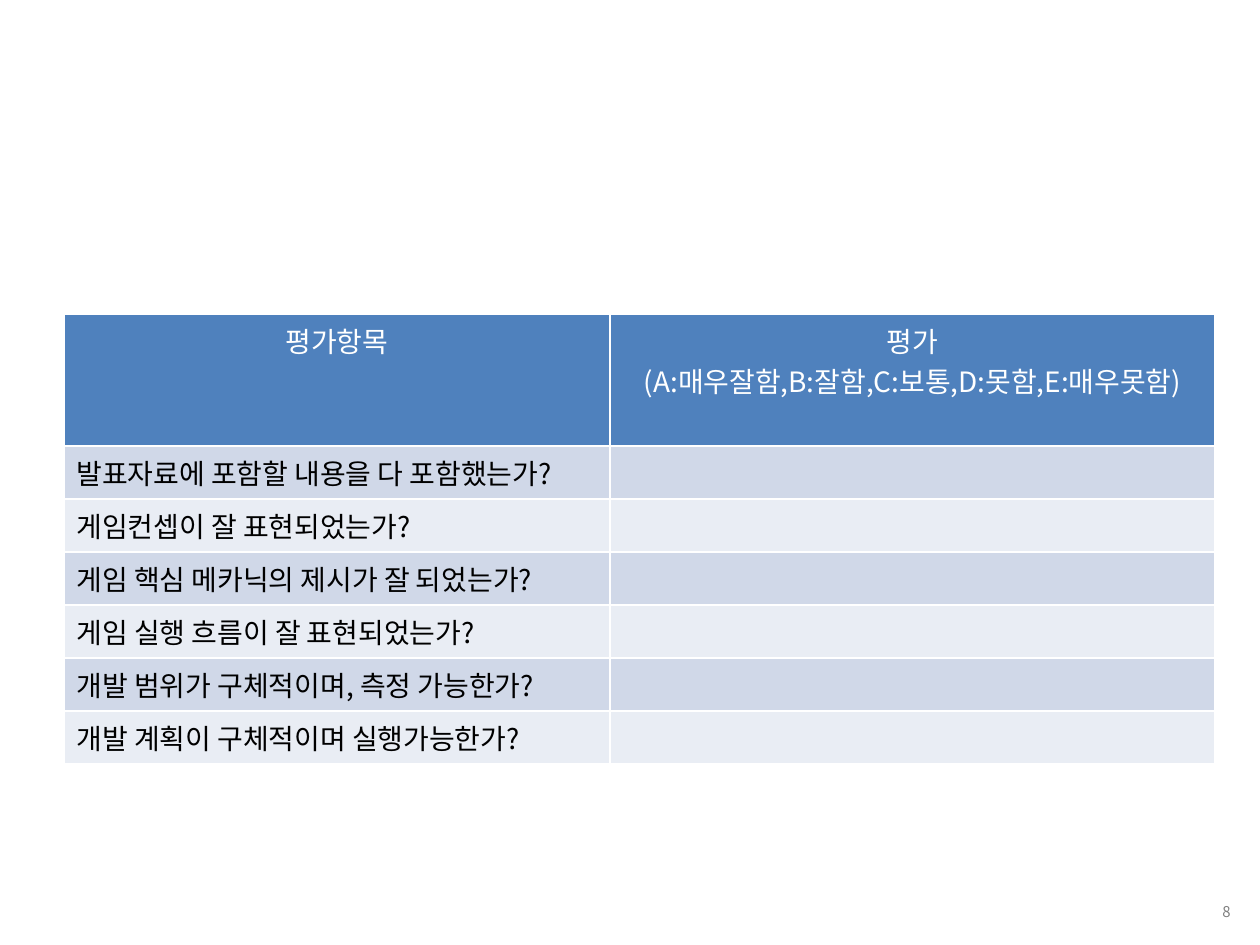
from dataclasses import dataclass

from pptx import Presentation
from pptx.dml.color import RGBColor
from pptx.enum.text import MSO_ANCHOR as Anchor, PP_ALIGN as Align
from pptx.oxml.xmlchemy import OxmlElement
from pptx.util import Pt

EMU_PER_PX = 914400 / 126


def px(length):
    return round(length * EMU_PER_PX)


@dataclass(frozen=True)
class Theme:
    font: str = "Noto Sans CJK KR"
    table_size: float = 16
    number_size: float = 8.5
    border_width: float = 1
    white: str = "FFFFFF"
    black: str = "000000"
    gray: str = "808080"
    header: str = "4F81BD"
    bands: tuple = ("D0D8E8", "E9EDF4")


def write_text(frame, text, *, font, size, color, align=Align.LEFT):
    for index, line in enumerate(text.split("\n")):
        paragraph = frame.paragraphs[0] if index == 0 else frame.add_paragraph()
        paragraph.alignment = align
        run = paragraph.add_run()
        run.text = line
        run.font.name = font
        run.font.size = Pt(size)
        run.font.color.rgb = RGBColor.from_string(color)
        east_asian = OxmlElement("a:ea")
        east_asian.set("typeface", font)
        run.font._element.append(east_asian)


def set_borders(cell, color, width):
    properties = cell._tc.get_or_add_tcPr()
    for index, side in enumerate("LRTB"):
        line = OxmlElement(f"a:ln{side}")
        line.set("w", str(Pt(width)))
        fill = OxmlElement("a:solidFill")
        value = OxmlElement("a:srgbClr")
        value.set("val", color)
        fill.append(value)
        line.append(fill)
        properties.insert(index, line)


class SlideBuilder:
    def __init__(self, slide, theme):
        self.slide = slide
        self.theme = theme

    def add_page_number(self, number, left, top, width, height):
        shape = self.slide.shapes.add_textbox(*map(px, (left, top, width, height)))
        frame = shape.text_frame
        frame.word_wrap = True
        frame.vertical_anchor = Anchor.MIDDLE
        write_text(frame, number, font=self.theme.font, size=self.theme.number_size,
                   color=self.theme.gray, align=Align.RIGHT)

    def add_evaluation_table(self, rows, left, top, column_widths, header_height, row_height):
        theme = self.theme
        table = self.slide.shapes.add_table(
            len(rows), len(column_widths), px(left), px(top), px(sum(column_widths)),
            px(header_height + row_height * (len(rows) - 1))).table
        for column, width in zip(table.columns, column_widths):
            column.width = px(width)
        for row_index, values in enumerate(rows):
            is_header = row_index == 0
            table.rows[row_index].height = px(header_height if is_header else row_height)
            fill = theme.header if is_header else theme.bands[(row_index - 1) % 2]
            for column_index, value in enumerate(values):
                cell = table.cell(row_index, column_index)
                cell.fill.solid()
                cell.fill.fore_color.rgb = RGBColor.from_string(fill)
                set_borders(cell, theme.white, theme.border_width)
                if value:
                    write_text(cell.text_frame, value, font=theme.font,
                               size=theme.table_size,
                               color=theme.white if is_header else theme.black,
                               align=Align.CENTER if is_header else Align.LEFT)


def main():
    presentation = Presentation()
    presentation.slide_width = px(1260)
    presentation.slide_height = px(945)
    slide = presentation.slides.add_slide(presentation.slide_layouts[6])
    builder = SlideBuilder(slide, Theme())

    header = ("평가항목", "평가\n(A:매우잘함,B:잘함,C:보통,D:못함,E:매우못함)")
    questions = (
        "발표자료에 포함할 내용을 다 포함했는가?",
        "게임컨셉이 잘 표현되었는가?",
        "게임 핵심 메카닉의 제시가 잘 되었는가?",
        "게임 실행 흐름이 잘 표현되었는가?",
        "개발 범위가 구체적이며, 측정 가능한가?",
        "개발 계획이 구체적이며 실행가능한가?",
    )
    rows = [header, *((question, "") for question in questions)]

    builder.add_page_number("8", 977, 895, 266, 34)
    builder.add_evaluation_table(rows, 64, 314, (546, 605), 132, 53)
    presentation.save("out.pptx")


if __name__ == "__main__":
    main()
